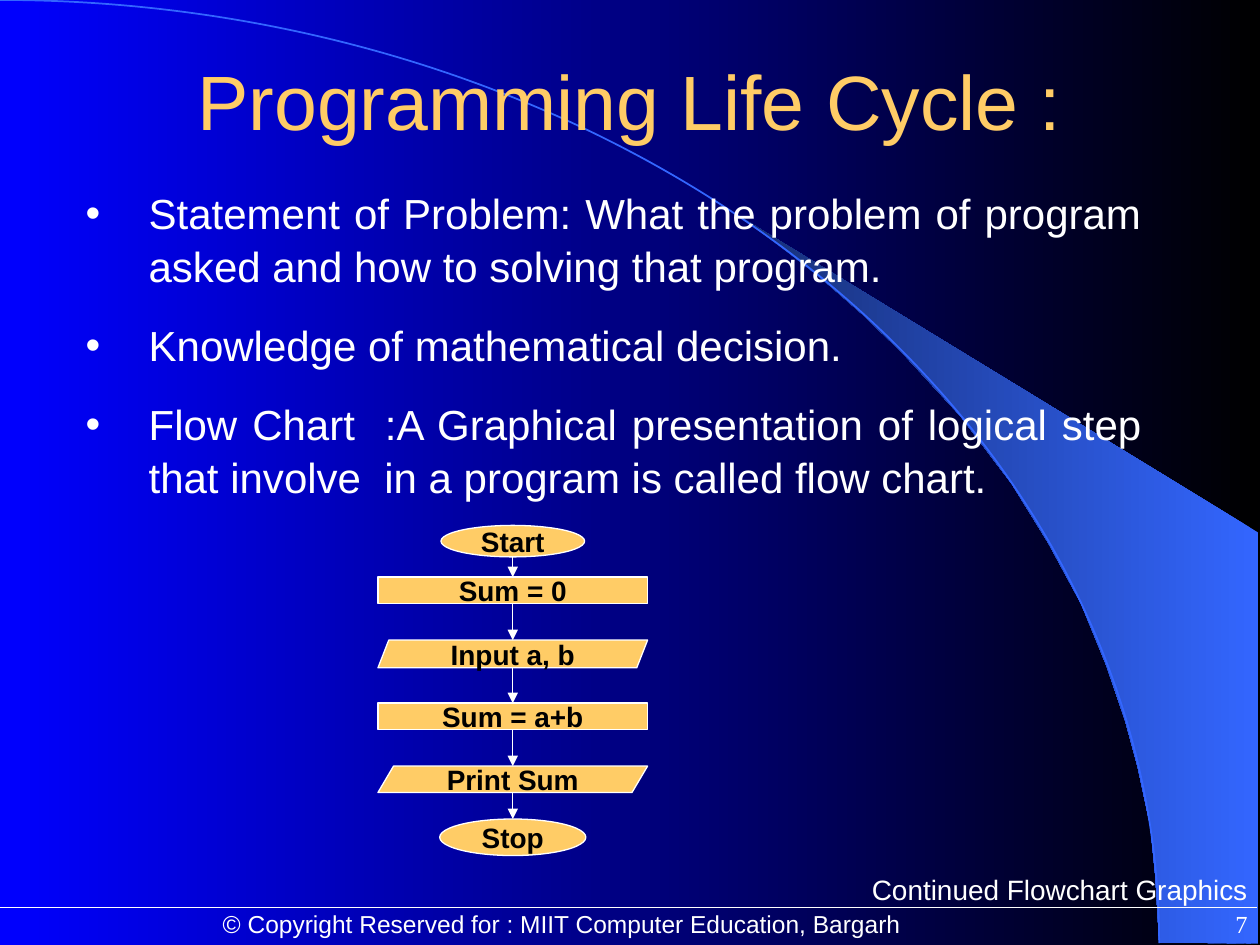
"""Build the Programming Life Cycle slide with its flowchart."""
from itertools import pairwise
from typing import NamedTuple

from lxml.etree import SubElement
from pptx import Presentation
from pptx.dml.color import RGBColor
from pptx.enum.shapes import MSO_CONNECTOR, MSO_SHAPE
from pptx.enum.text import MSO_ANCHOR, MSO_AUTO_SIZE, PP_ALIGN
from pptx.oxml.ns import qn
from pptx.util import Pt

PX = 9144
WHITE, BLACK, GOLD, BLUE = "FFFFFF", "000000", "FFCC66", "3366FF"
AXIS = 407


class Step(NamedTuple):
    """One flowchart symbol, centred on the flowchart axis."""
    label: str
    symbol: MSO_SHAPE
    top: int
    width: int
    height: int
    slant: float = 0


STEPS = [
    Step("Start", MSO_SHAPE.OVAL, 417, 114, 25),
    Step("Sum = 0", MSO_SHAPE.RECTANGLE, 458, 214, 21),
    Step("Input a, b", MSO_SHAPE.PARALLELOGRAM, 508, 214, 22, 0.39),
    Step("Sum = a+b", MSO_SHAPE.RECTANGLE, 558, 214, 21),
    Step("Print Sum", MSO_SHAPE.PARALLELOGRAM, 608, 214, 21, 0.59),
    Step("Stop", MSO_SHAPE.OVAL, 650, 116, 29),
]
TOPICS = [
    "Statement of Problem: What the problem of program asked and how to solving that program.",
    "Knowledge of mathematical decision.",
    "Flow Chart  :A Graphical presentation of logical step that involve  in a program is called flow chart.",
]
BEAM = [
    (920, 748), (999, 749), (999, 423), (589, 173), (624, 199), (653, 222),
    (685, 250), (716, 280), (762, 330), (803, 384), (832, 431), (858, 479),
    (878, 528), (893, 572), (903, 609), (913, 656), (917, 696),
]


def rgb(code: str) -> RGBColor:
    """Turn a hex string into a colour."""
    return RGBColor.from_string(code)


def px(*lengths: int) -> list[int]:
    """Convert px lengths to EMU."""
    return [length * PX for length in lengths]


def place(shape, left: int, top: int, width: int, height: int) -> None:
    """Move and size a shape in px."""
    shape.left, shape.top, shape.width, shape.height = px(left, top, width, height)


def blend(fill, right: str, left: str) -> None:
    """Apply a horizontal two-colour gradient."""
    fill.gradient()
    fill.gradient_angle = 180
    for stop, code in zip(fill.gradient_stops, (right, left)):
        stop.color.rgb = rgb(code)


def stroke(line, code: str = WHITE, width: float = 0.75) -> None:
    """Set a solid line."""
    line.color.rgb = rgb(code)
    line.width = Pt(width)


def write(shape, *texts: str, size: int, color: str = WHITE, font: str = "Arial",
          bold: bool = False, align=PP_ALIGN.CENTER, anchor=MSO_ANCHOR.MIDDLE,
          wrap: bool = True, gap: int = 0, spacing: float = 1, bullet: str = "") -> None:
    """Fill a shape with formatted paragraphs."""
    frame = shape.text_frame
    frame.auto_size = MSO_AUTO_SIZE.NONE
    frame.word_wrap, frame.vertical_anchor = wrap, anchor
    for index, text in enumerate(texts):
        paragraph = frame.paragraphs[0] if index == 0 else frame.add_paragraph()
        paragraph.alignment = align
        paragraph.line_spacing = spacing
        paragraph.space_before = Pt(gap if index else 0)
        if bullet:
            properties = paragraph._p.get_or_add_pPr()
            properties.set("marL", str(50 * PX))
            properties.set("indent", str(-50 * PX))
            SubElement(properties, qn("a:buChar")).set("char", bullet)
        run = paragraph.add_run()
        run.text = text
        run.font.name, run.font.size, run.font.bold = font, Pt(size), bold
        run.font.color.rgb = rgb(color)


def add_rule(shapes, x1: int, y1: int, x2: int, y2: int, arrow: bool = False):
    """Draw a thin white line, optionally with an arrowhead."""
    rule = shapes.add_connector(MSO_CONNECTOR.STRAIGHT, *px(x1, y1, x2, y2))
    stroke(rule.line)
    if arrow:
        SubElement(rule.line._get_or_add_ln(), qn("a:tailEnd")).set("type", "triangle")
    SubElement(rule._element.spPr, qn("a:effectLst"))
    return rule


def add_label(shapes, box: tuple[int, int, int, int], text: str, **style) -> None:
    """Add a text box."""
    write(shapes.add_textbox(*px(*box)), text, **style)


def add_backdrop(slide) -> None:
    """Draw the gradient background, beam, arc and footer rule."""
    blend(slide.background.fill, BLACK, "0000FF")
    builder = slide.shapes.build_freeform(*BEAM[0], scale=PX)
    builder.add_line_segments(BEAM[1:], close=True)
    beam = builder.convert_to_shape()
    beam.shadow.inherit = False
    blend(beam.fill, BLUE, "172F75")
    beam.line.fill.background()
    arc = slide.shapes.add_shape(MSO_SHAPE.ARC, *px(-920, 0, 1840, 1497))
    arc.shadow.inherit = False
    arc.fill.background()
    stroke(arc.line, BLUE, 1)
    add_rule(slide.shapes, 0, 720, 998, 720)


def add_step(shapes, step: Step):
    """Draw one flowchart symbol."""
    symbol = shapes.add_shape(
        step.symbol, *px(AXIS - step.width // 2, step.top, step.width, step.height))
    symbol.shadow.inherit = False
    symbol.fill.solid()
    symbol.fill.fore_color.rgb = rgb(GOLD)
    stroke(symbol.line)
    if step.slant:
        symbol.adjustments[0] = step.slant
    write(symbol, step.label, size=16, color=BLACK, bold=True, wrap=False)
    return symbol


def add_flowchart(shapes) -> None:
    """Draw the symbols and the arrows between them."""
    drawn = [(step, add_step(shapes, step)) for step in STEPS]
    for (step, symbol), (following, target) in pairwise(drawn):
        arrow = add_rule(shapes, AXIS, step.top + step.height, AXIS, following.top, arrow=True)
        if step.symbol == MSO_SHAPE.RECTANGLE:
            arrow.begin_connect(symbol, 2)
        if following.symbol == MSO_SHAPE.RECTANGLE:
            arrow.end_connect(target, 0)


def main() -> None:
    """Build and save the slide."""
    deck = Presentation()
    deck.slide_width, deck.slide_height = px(1000, 750)
    slide = deck.slides.add_slide(deck.slide_layouts[1])
    shapes = slide.shapes
    title, topics = shapes.title, slide.placeholders[1]
    add_backdrop(slide)
    for placeholder in (title, topics):
        shapes.element.append(placeholder.element)
    place(title, 75, 33, 867, 92)
    write(title, "Programming Life Cycle : ", size=44, color=GOLD)
    place(topics, 58, 142, 858, 252)
    write(topics, *TOPICS, size=24, align=PP_ALIGN.JUSTIFY, anchor=MSO_ANCHOR.TOP,
          gap=15, spacing=1.05, bullet="•")
    add_label(shapes, (650, 688, 350, 37), "Continued Flowchart Graphics", size=16,
              align=PP_ALIGN.RIGHT, anchor=MSO_ANCHOR.TOP)
    add_flowchart(shapes)
    add_label(shapes, (142, 717, 608, 33),
              "© Copyright Reserved for : MIIT Computer Education, Bargarh", size=14)
    add_label(shapes, (792, 717, 208, 33), "7", size=14, font="Times New Roman",
              align=PP_ALIGN.RIGHT)
    deck.save("out.pptx")


if __name__ == "__main__":
    main()
